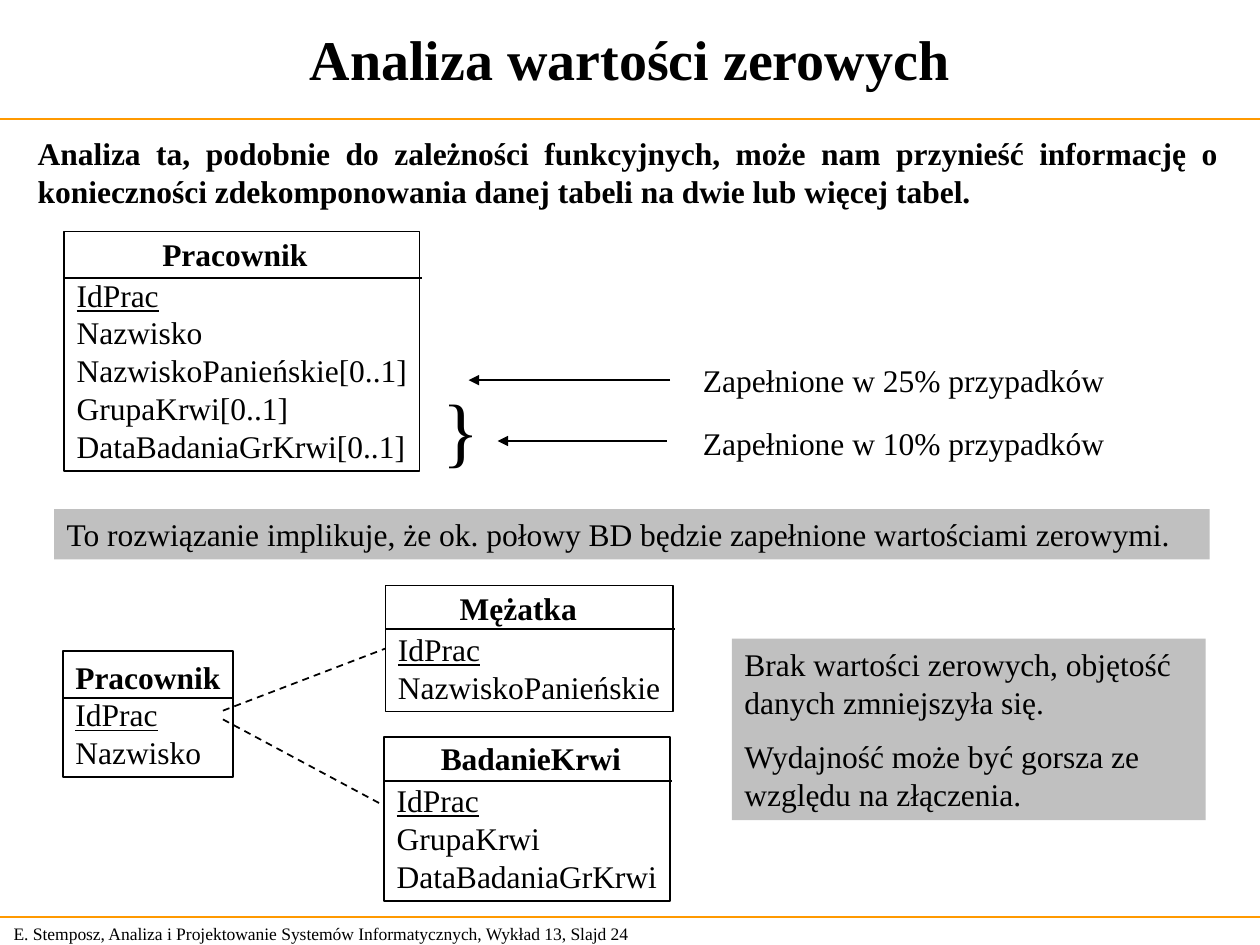
from lxml import etree
from pptx import Presentation
from pptx.dml.color import RGBColor
from pptx.enum import dml, shapes, text
from pptx.oxml import ns
from pptx.util import Pt

colour = RGBColor.from_string
ALIGN = text.PP_ALIGN
ANCHOR = text.MSO_ANCHOR


def write_text(shape, content, size=18, bold=False, align=ALIGN.LEFT,
               anchor=ANCHOR.TOP, wrap=False, gap=0, underlined=""):
    frame = shape.text_frame
    frame.text = content
    frame.word_wrap = wrap
    frame.vertical_anchor = anchor
    frame.margin_left = frame.margin_right = Pt(7.2)
    frame.margin_top = frame.margin_bottom = Pt(3.6)
    for index, paragraph in enumerate(frame.paragraphs):
        paragraph.alignment = align
        paragraph.space_before = Pt(gap if index else 0)
        font = paragraph.font
        font.name, font.size, font.bold = "Times New Roman", Pt(size), bold
        font.color.rgb = colour("000000")
        font.underline = paragraph.text == underlined


def add_line(x1, y1, x2, y2, line_colour="000000", width=1, dashed=False, arrow=False):
    line = slide.shapes.add_connector(
        shapes.MSO_CONNECTOR.STRAIGHT, Pt(x1), Pt(y1), Pt(x2), Pt(y2))
    line.line.color.rgb = colour(line_colour)
    line.line.width = Pt(width)
    if dashed:
        line.line.dash_style = dml.MSO_LINE.DASH
    if arrow:
        etree.SubElement(line.line._get_or_add_ln(), ns.qn("a:tailEnd"), type="triangle")
    etree.SubElement(line._element.spPr, ns.qn("a:effectLst"))
    return line


presentation = Presentation()
presentation.slide_width, presentation.slide_height = Pt(720), Pt(540)
slide = presentation.slides.add_slide(presentation.slide_layouts[5])

title = slide.shapes.title
title.left, title.top, title.width, title.height = Pt(0), Pt(0), Pt(720), Pt(66)
write_text(title, "Analiza wartości zerowych", size=32, bold=True,
           align=ALIGN.CENTER, anchor=ANCHOR.MIDDLE, wrap=True)

for rule_y in (68, 524):
    add_line(0, rule_y, 720, rule_y, line_colour="FF9900", width=0.75)

intro = slide.shapes.add_textbox(Pt(14.4), Pt(72.9), Pt(689), Pt(50.4))
write_text(intro, "Analiza ta, podobnie do zależności funkcyjnych, może nam przynieść "
           "informację o konieczności zdekomponowania danej tabeli na dwie lub więcej tabel.",
           bold=True, align=ALIGN.JUSTIFY, wrap=True)

entities = [
    ("Pracownik", 36.7, 132.3, 203, 136.8, 159, 204.5, 85.7, 131, 100,
     "IdPrac\nNazwisko\nNazwiskoPanieńskie[0..1]\nGrupaKrwi[0..1]\nDataBadaniaGrKrwi[0..1]"),
    ("Pracownik", 36, 372.2, 97.2, 72, 398.9, 97.2, 36, 372.4, 100, "IdPrac\nNazwisko"),
    ("Mężatka", 220.3, 334.6, 164.2, 72, 359.3, 165.6, 255.6, 333.2, 85,
     "IdPrac\nNazwiskoPanieńskie"),
    ("BadanieKrwi", 219.6, 421.2, 163.4, 93.6, 446.2, 164.2, 244.8, 418.5, 122,
     "IdPrac\nGrupaKrwi\nDataBadaniaGrKrwi"),
]
boxes = []
for (name, left, top, width, height, rule_y, rule_width,
     name_left, name_top, name_width, attributes) in entities:
    box = slide.shapes.add_shape(shapes.MSO_SHAPE.RECTANGLE, Pt(left), Pt(top), Pt(width), Pt(height))
    box.shadow.inherit = False
    box.fill.background()
    box.line.color.rgb = colour("000000")
    box.line.width = Pt(1)
    write_text(box, attributes, anchor=ANCHOR.BOTTOM, underlined="IdPrac")
    add_line(left, rule_y, left + rule_width, rule_y)
    heading = slide.shapes.add_textbox(Pt(name_left), Pt(name_top), Pt(name_width), Pt(28.8))
    write_text(heading, name, bold=True)
    boxes.append(box)

married_link = add_line(127.4, 406.1, 220.3, 370.8, dashed=True)
married_link.end_connect(boxes[2], 1)
add_line(127.4, 411.1, 218.9, 460.1, dashed=True)

labels = [
    ("Zapełnione w 25% przypadków", 394.6, 203, 250, 28.8, 18),
    ("Zapełnione w 10% przypadków", 394.6, 238.5, 250, 28.8, 18),
    ("}", 245.5, 214.6, 35.3, 60.5, 44),
    ("E. Stemposz, Analiza i Projektowanie Systemów Informatycznych, Wykład 13, Slajd 24",
     0.7, 523.9, 385, 19.4, 10),
]
for label, left, top, width, height, size in labels:
    box = slide.shapes.add_textbox(Pt(left), Pt(top), Pt(width), Pt(height))
    write_text(box, label, size=size)

for start, end, y in ((383, 267.8, 217.2), (380.9, 284.4, 252)):
    add_line(start, y, end, y, arrow=True)

remarks = [
    ("To rozwiązanie implikuje, że ok. połowy BD będzie zapełnione wartościami zerowymi.",
     31, 290.9, 660.2, 28.8),
    ("Brak wartości zerowych, objętość danych zmniejszyła się.\n"
     "Wydajność może być gorsza ze względu na złączenia.", 418.3, 365, 270.7, 103.7),
]
for remark, left, top, width, height in remarks:
    box = slide.shapes.add_shape(shapes.MSO_SHAPE.RECTANGLE, Pt(left), Pt(top), Pt(width), Pt(height))
    box.shadow.inherit = False
    box.fill.solid()
    box.fill.fore_color.rgb = colour("C0C0C0")
    box.line.fill.background()
    write_text(box, remark, wrap=True, gap=9.5)

presentation.save("out.pptx")
